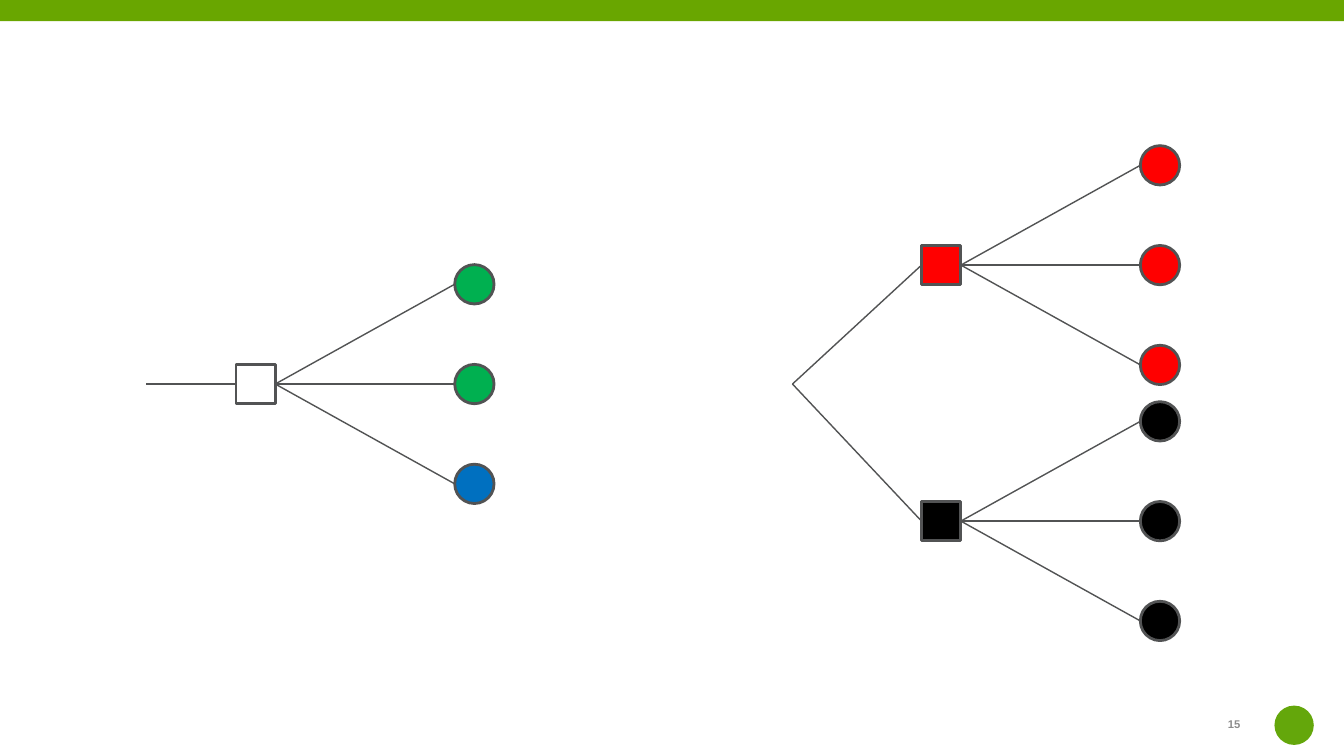
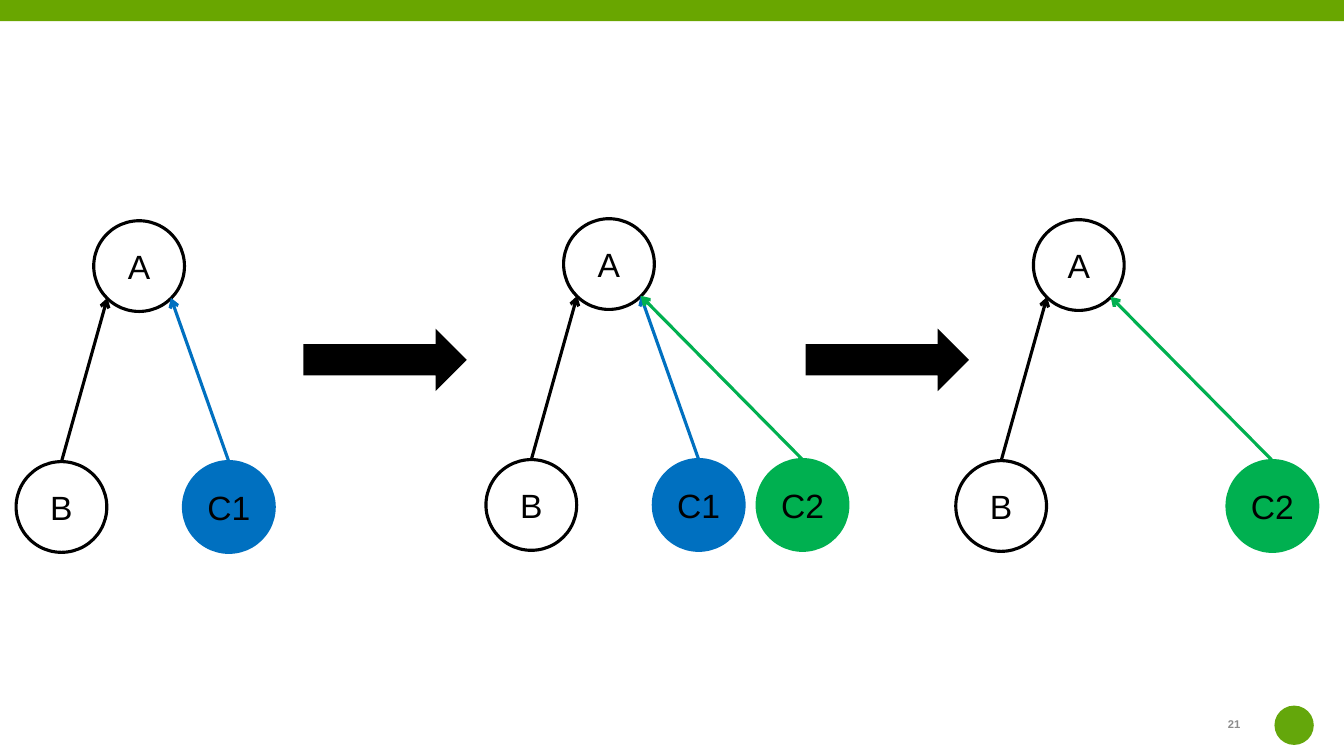
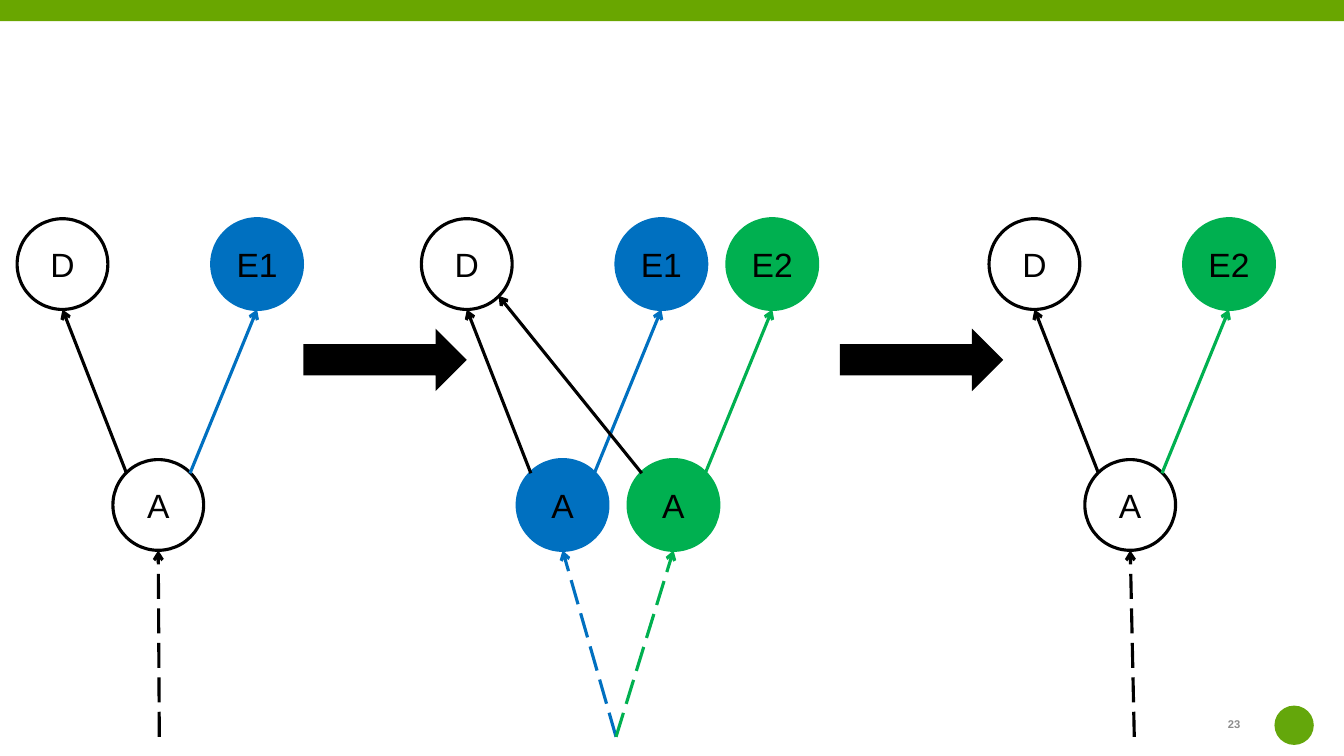
from dataclasses import dataclass
from typing import NamedTuple, Optional

from lxml import etree
from pptx import Presentation
from pptx.dml.color import RGBColor
from pptx.enum.dml import MSO_LINE
from pptx.enum.shapes import MSO_CONNECTOR, MSO_SHAPE
from pptx.enum.text import MSO_ANCHOR, MSO_AUTO_SIZE, PP_ALIGN
from pptx.oxml.ns import qn
from pptx.shapes.autoshape import Shape
from pptx.shapes.connector import Connector
from pptx.slide import Slide
from pptx.util import Inches, Pt

RECTANGLE = MSO_SHAPE.RECTANGLE
OVAL = MSO_SHAPE.OVAL
RIGHT_ARROW = MSO_SHAPE.RIGHT_ARROW
STRAIGHT = MSO_CONNECTOR.STRAIGHT
LONG_DASH = MSO_LINE.LONG_DASH
CENTER = PP_ALIGN.CENTER
MIDDLE = MSO_ANCHOR.MIDDLE
FIT_SHAPE = MSO_AUTO_SIZE.SHAPE_TO_FIT_TEXT
LEFT_SIDE, RIGHT_SIDE = 1, 3


@dataclass(frozen=True)
class Theme:
    band: str = "69A600"
    badge: str = "64A70B"
    page_number: str = "8C8C8C"
    outline: str = "525354"
    black: str = "000000"
    blue: str = "0070C0"
    green: str = "00B050"
    red: str = "FF0000"
    font: str = "Arial"
    label_size: float = 24
    page_size: float = 8
    tree_line: float = 1
    tree_border: float = 2
    graph_line: float = 2.25


THEME = Theme()
SLIDE_WIDTH, SLIDE_HEIGHT = 13.33, 7.5

# Decision tree measures
MARK = 0.39
LEAF_OFFSET = 2.17
LEAF_STEP = 0.99

# Node graph measures
NODE = 0.9
ROW_STEP = 2.39
DIAGONAL = 0.35  # relative inset of a 45-degree point, from the centre
SITES = {
    "top": (0.5, 0),
    "bottom": (0.5, 1),
    "top left": (0.5 - DIAGONAL, 0.5 - DIAGONAL),
    "top right": (0.5 + DIAGONAL, 0.5 - DIAGONAL),
    "bottom left": (0.5 - DIAGONAL, 0.5 + DIAGONAL),
    "bottom right": (0.5 + DIAGONAL, 0.5 + DIAGONAL),
}


class Point(NamedTuple):
    x: float
    y: float


@dataclass(frozen=True)
class Node:
    label: str
    left: float
    top: float
    color: Optional[str] = None

    def site(self, name: str) -> Point:
        across, down = SITES[name]
        return Point(self.left + across * NODE, self.top + down * NODE)


class Candidate(NamedTuple):
    label: str
    shift: float
    color: str


# Shared drawing
def add_figure(slide: Slide, kind: int, left: float, top: float, width: float,
               height: float, fill: Optional[str] = None,
               border: Optional[str] = None, weight: float = 1) -> Shape:
    figure = slide.shapes.add_shape(kind, Inches(left), Inches(top),
                                    Inches(width), Inches(height))
    figure.shadow.inherit = False
    if fill:
        figure.fill.solid()
        figure.fill.fore_color.rgb = RGBColor.from_string(fill)
    else:
        figure.fill.background()
    if border:
        figure.line.color.rgb = RGBColor.from_string(border)
        figure.line.width = Pt(weight)
    else:
        figure.line.fill.background()
    return figure


def add_line(slide: Slide, start: Point, end: Point, color: str, weight: float,
             arrow: bool = False, dashed: bool = False) -> Connector:
    line = slide.shapes.add_connector(
        STRAIGHT, Inches(start.x), Inches(start.y), Inches(end.x), Inches(end.y))
    line.line.color.rgb = RGBColor.from_string(color)
    line.line.width = Pt(weight)
    if dashed:
        line.line.dash_style = LONG_DASH
    properties = line.element.spPr
    if arrow:
        etree.SubElement(properties.find(qn("a:ln")), qn("a:tailEnd"), type="arrow")
    etree.SubElement(properties, qn("a:effectLst"))
    return line


def add_text(shape: Shape, text: str, size: float, color: str, bold: bool = False) -> None:
    run = shape.text_frame.paragraphs[0].add_run()
    run.text = text
    run.font.name = THEME.font
    run.font.size = Pt(size)
    run.font.bold = bold
    run.font.color.rgb = RGBColor.from_string(color)


def start_slide(deck: Presentation, number: int) -> Slide:
    slide = deck.slides.add_slide(deck.slide_layouts[6])
    add_figure(slide, RECTANGLE, 0, 0, SLIDE_WIDTH, 0.21, THEME.band)
    add_figure(slide, OVAL, 12.64, 7, MARK, MARK, THEME.badge)
    page = slide.shapes.add_textbox(Inches(12.08), Inches(7.07), Inches(0.34), Inches(0.24))
    page.text_frame.word_wrap = False
    page.text_frame.auto_size = FIT_SHAPE
    add_text(page, str(number), THEME.page_size, THEME.page_number, bold=True)
    return slide


# Decision trees
def draw_tree(slide: Slide, root: Point, left: float, middle: float,
              fill: Optional[str], leaves: list[str]) -> None:
    def add_mark(kind: int, x: float, y: float, color: Optional[str]) -> Shape:
        return add_figure(slide, kind, x, y - MARK / 2, MARK, MARK, color,
                          THEME.outline, THEME.tree_border)

    decision = add_mark(RECTANGLE, left, middle, fill)
    stem = add_line(slide, root, Point(left, middle), THEME.outline, THEME.tree_line)
    stem.end_connect(decision, LEFT_SIDE)
    for row, color in enumerate(leaves, start=-1):
        leaf = Point(left + LEAF_OFFSET, middle + row * LEAF_STEP)
        add_mark(OVAL, leaf.x, leaf.y, color)
        branch = add_line(slide, Point(left + MARK, middle), leaf,
                          THEME.outline, THEME.tree_line)
        branch.begin_connect(decision, RIGHT_SIDE)


# Node graphs
def draw_node(slide: Slide, node: Node) -> None:
    circle = add_figure(slide, OVAL, node.left, node.top, NODE, NODE, node.color,
                        node.color or THEME.black, THEME.graph_line)
    frame = circle.text_frame
    frame.margin_left = frame.margin_right = 0
    frame.word_wrap = False
    frame.vertical_anchor = MIDDLE
    frame.paragraphs[0].alignment = CENTER
    add_text(circle, node.label, THEME.label_size, THEME.black)


def draw_edge(slide: Slide, start: Point, end: Point, color: str = THEME.black,
              dashed: bool = False) -> None:
    add_line(slide, start, end, color, THEME.graph_line, arrow=True, dashed=dashed)


def draw_step(slide: Slide, left: float) -> None:
    add_figure(slide, RIGHT_ARROW, left, 3.26, 1.62, 0.62, THEME.black)


def draw_children(slide: Slide, left: float, top: float,
                  candidates: list[Candidate]) -> None:
    """Parent A above B and its candidate children."""
    parent = Node("A", left, top)
    sibling = Node("B", left - 0.77, top + ROW_STEP)
    draw_node(slide, parent)
    draw_node(slide, sibling)
    draw_edge(slide, sibling.site("top"), parent.site("bottom left"))
    for label, shift, color in candidates:
        child = Node(label, left + shift, top + ROW_STEP, color)
        draw_node(slide, child)
        draw_edge(slide, child.site("top"), parent.site("bottom right"), color)


def draw_parents(slide: Slide, left: float, origin_x: float,
                 candidates: list[Candidate]) -> None:
    """Node A, one version per candidate, below D and its candidate parents."""
    top = 2.17
    origin = Point(origin_x, 7.31)
    split = len(candidates) > 1
    fixed = Node("D", left, top)
    draw_node(slide, fixed)
    for label, shift, color in candidates:
        child = Node("A", left + 0.95 + shift, top + ROW_STEP, color if split else None)
        parent = Node(label, left + 1.93 + shift, top, color)
        draw_node(slide, child)
        draw_node(slide, parent)
        draw_edge(slide, child.site("top right"), parent.site("bottom"), color)
        draw_edge(slide, child.site("top left"),
                  fixed.site("bottom right" if shift else "bottom"))
        draw_edge(slide, origin, child.site("bottom"),
                  color if split else THEME.black, dashed=True)


# Slides
def build_trees(deck: Presentation) -> None:
    slide = start_slide(deck, 15)
    draw_tree(slide, Point(1.45, 3.81), 2.34, 3.81, None,
              [THEME.green, THEME.green, THEME.blue])
    fork = Point(7.86, 3.81)
    for middle, color in ((2.63, THEME.red), (5.17, THEME.black)):
        draw_tree(slide, fork, 9.14, middle, color, [color] * 3)


def build_child_change(deck: Presentation) -> None:
    slide = start_slide(deck, 21)
    old = Candidate("C1", 0.89, THEME.blue)
    new = Candidate("C2", 1.92, THEME.green)
    draw_children(slide, 0.93, 2.19, [old])
    draw_children(slide, 5.59, 2.17, [old, new])
    draw_children(slide, 10.25, 2.18, [new])
    for left in (3.01, 7.99):
        draw_step(slide, left)


def build_parent_change(deck: Presentation) -> None:
    slide = start_slide(deck, 23)
    old = Candidate("E1", 0, THEME.blue)
    new = Candidate("E2", 0, THEME.green)
    draw_parents(slide, 0.17, 1.58, [old])
    draw_parents(slide, 4.18, 6.11, [old, new._replace(shift=1.1)])
    draw_parents(slide, 9.81, 11.25, [new])
    for left in (3.01, 8.33):
        draw_step(slide, left)


def main() -> None:
    deck = Presentation()
    deck.slide_width = Inches(SLIDE_WIDTH)
    deck.slide_height = Inches(SLIDE_HEIGHT)
    build_trees(deck)
    build_child_change(deck)
    build_parent_change(deck)
    deck.save("out.pptx")


if __name__ == "__main__":
    main()
